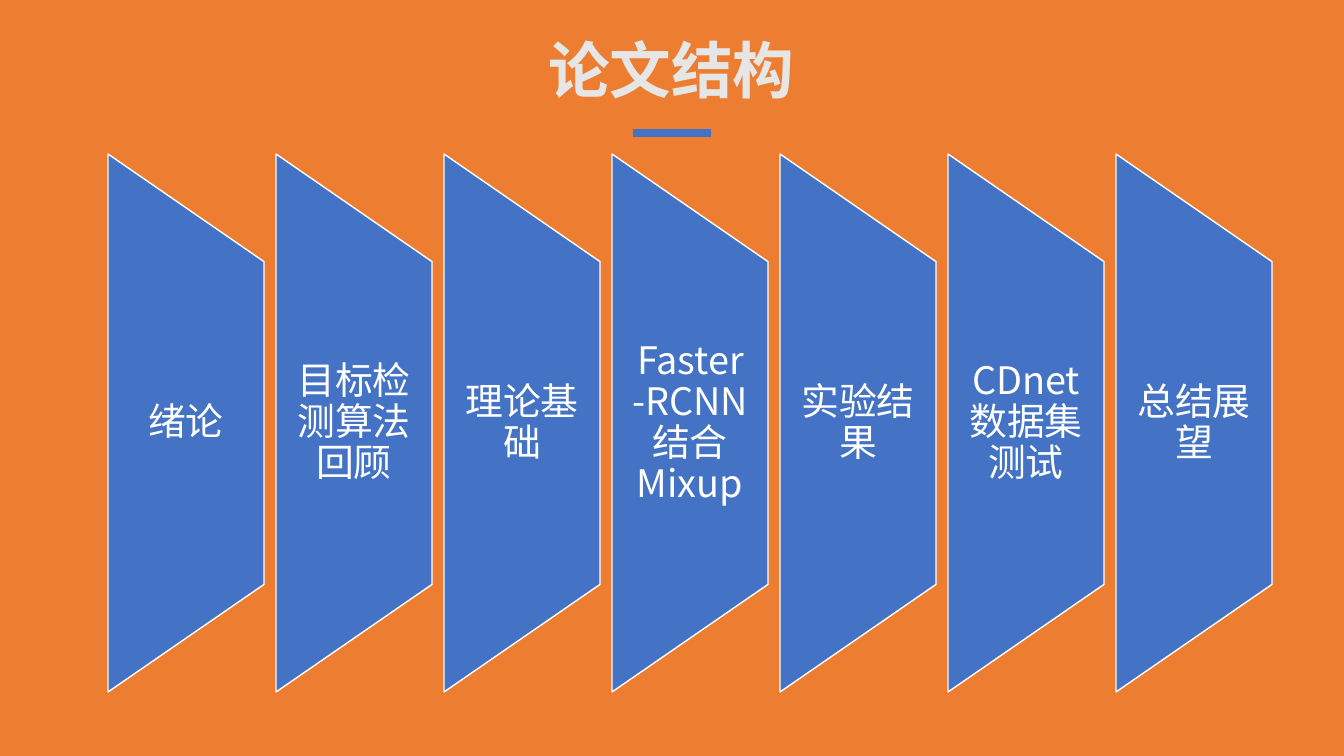
from lxml import etree
from pptx import Presentation
from pptx import util as u
from pptx.dml.color import RGBColor
from pptx.enum import shapes, text
from pptx.oxml.ns import qn

PX = 914400 / 100.8
FONT = "Noto Sans CJK SC"
ORANGE, BLUE, WHITE, GREY = "ED7D31", "4472C4", "FFFFFF", "E7E6E6"
CHAPTERS = ["绪论", "目标检测算法回顾", "理论基础", "Faster-RCNN结合Mixup",
            "实验结果", "CDnet数据集测试", "总结展望"]
LEFT, TOP, WIDTH, HEIGHT, PITCH = 108, 154, 156, 538, 168
TEXT_TOP, TEXT_HEIGHT = 262, 323


def px(n):
    return u.Emu(round(n * PX))


def color(value):
    return RGBColor.from_string(value)


def assign(obj, values):
    for name, value in values.items():
        setattr(obj, name, value)


def add_label(slide, box, words, size, fill, frame, bold=False, spacing=1.0):
    tf = slide.shapes.add_textbox(*map(px, box)).text_frame
    assign(tf, {"word_wrap": True, **frame})
    p = tf.paragraphs[0]
    assign(p, {"alignment": text.PP_ALIGN.CENTER, "line_spacing": spacing})
    r = p.add_run()
    r.text = words
    assign(r.font, {"size": u.Pt(size), "bold": bold, "name": FONT})
    r.font.color.rgb = color(fill)
    etree.SubElement(r.font._element, qn("a:ea")).set("typeface", FONT)


def add_panel(slide, left):
    x = left + (WIDTH - HEIGHT) / 2
    y = TOP + (HEIGHT - WIDTH) / 2
    sp = slide.shapes.add_shape(shapes.MSO_SHAPE.FLOWCHART_MANUAL_OPERATION,
                                px(x), px(y), px(HEIGHT), px(WIDTH))
    sp.rotation = 270
    sp.shadow.inherit = False
    sp.fill.solid()
    sp.fill.fore_color.rgb = color(BLUE)
    sp.line.color.rgb = color(WHITE)
    sp.line.width = u.Pt(1)


def add_rule(slide, x1, x2, y):
    c = slide.shapes.add_connector(shapes.MSO_CONNECTOR.STRAIGHT,
                                   px(x1), px(y), px(x2), px(y))
    c.line.color.rgb = color(BLUE)
    c.line.width = u.Pt(6)
    etree.SubElement(c._element.spPr, qn("a:effectLst"))


def main():
    prs = Presentation()
    assign(prs, {"slide_width": px(1344), "slide_height": px(756)})
    slide = prs.slides.add_slide(prs.slide_layouts[6])
    slide.background.fill.solid()
    slide.background.fill.fore_color.rgb = color(ORANGE)

    add_rule(slide, 711, 633, 133)
    add_label(slide, (150, 27, 1043, 85), "论文结构", 44, GREY, {}, bold=True)

    frame = {"vertical_anchor": text.MSO_ANCHOR.MIDDLE,
             "margin_left": px(19), "margin_right": px(19),
             "margin_top": 0, "margin_bottom": 0}
    for i, chapter in enumerate(CHAPTERS):
        left = LEFT + i * PITCH
        add_panel(slide, left)
        add_label(slide, (left, TEXT_TOP, WIDTH, TEXT_HEIGHT), chapter,
                  27, WHITE, frame, spacing=0.9)

    prs.save("out.pptx")


if __name__ == "__main__":
    main()
